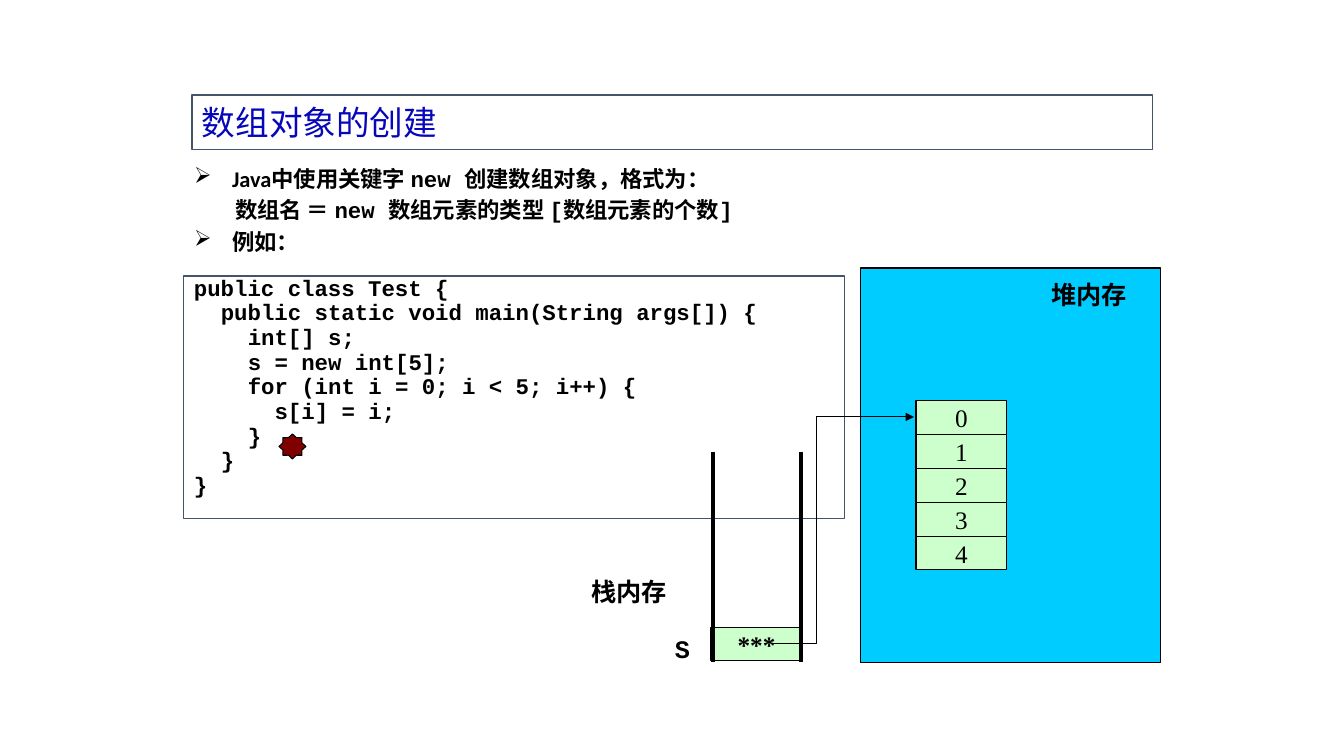
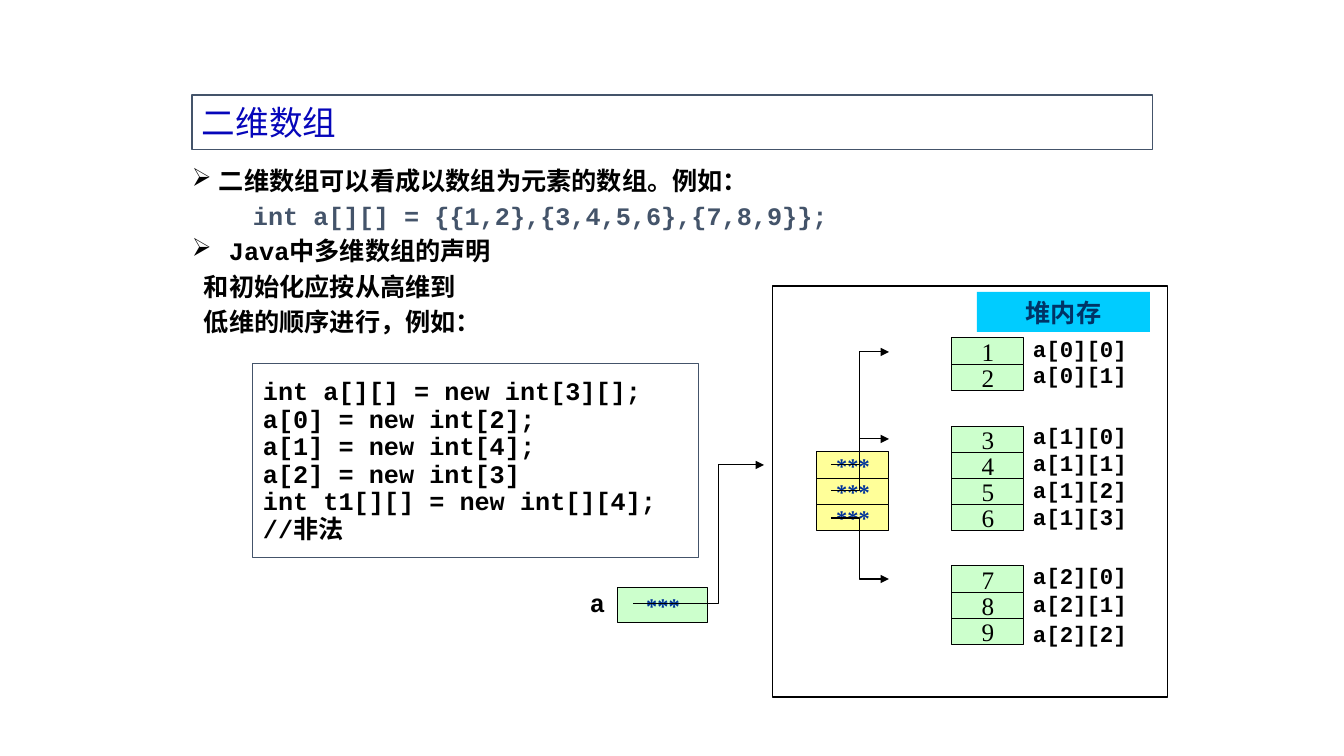
from dataclasses import dataclass
from lxml.etree import SubElement
from pptx import Presentation
from pptx.dml.color import RGBColor as RGB
from pptx.enum.shapes import MSO_CONNECTOR as LINK, MSO_SHAPE as SHAPE
from pptx.enum.text import MSO_ANCHOR as ANCHOR, MSO_AUTO_SIZE as FIT, PP_ALIGN as ALIGN
from pptx.oxml.ns import qn
from pptx.util import Emu, Pt

SCALE = 914400 / 100.8


@dataclass(frozen=True)
class Theme:
    """Colours, fonts and type sizes shared by the slides."""
    black: str = "000000"
    white: str = "FFFFFF"
    slate: str = "44546A"
    title: str = "0606BA"
    heap: str = "00CCFF"
    green: str = "CCFFCC"
    yellow: str = "FFFF99"
    maroon: str = "800000"
    navy: str = "003366"
    blue: str = "003399"
    serif: str = "Times New Roman"
    mono: str = "Courier New"
    sans: str = "Calibri"
    asian: str = "Noto Sans CJK SC"
    head: int = 24
    body: int = 18
    small: int = 16
    thin: float = 0.75
    thick: float = 2.25


T = Theme()


@dataclass
class Para:
    """One paragraph: (text, font) runs, indent in pixels, bullet width."""
    runs: list
    left: float = 0
    mark: int = 0


def px(num):
    """Turn pixels into EMU."""
    return Emu(round(num * SCALE))


def assign(item, values):
    """Set attributes of an item from a dict."""
    for name, value in values.items():
        setattr(item, name, value)


class Deck:
    """The deck's style and its current slide."""

    def __init__(self):
        self.prs = Presentation()
        assign(self.prs, dict(slide_width=px(1344), slide_height=px(756)))
        self.slide = None

    def start(self, title):
        """Add a slide with a framed title."""
        self.slide = self.prs.slides.add_slide(self.prs.slide_layouts[5])
        head = self.slide.shapes.title
        places = map(px, (192, 95, 961, 55))
        assign(head, dict(zip(("left", "top", "width", "height"), places)))
        self.stroke(head.line, T.slate)
        self.put(head, title, font=T.asian, size=T.head, color=T.title,
                 bold=False, align=ALIGN.LEFT, anchor=ANCHOR.MIDDLE)

    def stroke(self, line, color, width=T.thin):
        """Colour a line, or hide it."""
        if color is None:
            line.fill.background()
            return
        line.color.rgb = RGB.from_string(color)
        line.width = Pt(width)

    def put(self, shape, text, font=T.serif, size=T.body, color=T.black,
            bold=True, align=ALIGN.CENTER, anchor=ANCHOR.TOP,
            wrap=True, top=5, pitch=None):
        """Fill a shape with a string or a list of paragraphs."""
        frame = shape.text_frame
        assign(frame, dict(
            auto_size=FIT.NONE, word_wrap=wrap, vertical_anchor=anchor,
            margin_left=px(10), margin_right=px(10),
            margin_top=px(top), margin_bottom=px(5)))
        paras = [Para([(text, font)])] if isinstance(text, str) else text
        for num, para in enumerate(paras):
            item = frame.add_paragraph() if num else frame.paragraphs[0]
            assign(item, dict(alignment=align, space_before=Pt(0)))
            if pitch:
                item.line_spacing = Pt(pitch)
            self.indent(item, para)
            for words, face, *tint in para.runs:
                run = item.add_run()
                run.text = words
                assign(run.font, dict(name=face, size=Pt(size), bold=bold))
                run.font.color.rgb = RGB.from_string(tint[0] if tint else color)
                SubElement(run.font._element, qn("a:ea"), typeface=T.asian)

    def indent(self, item, para):
        """Set the indent and bullet of a paragraph."""
        props = item._p.get_or_add_pPr()
        props.set("marL", str(px(para.left)))
        props.set("indent", str(px(-para.mark)))
        if para.mark:
            SubElement(props, qn("a:buChar"), char="➢")
        else:
            SubElement(props, qn("a:buNone"))

    def box(self, at, text=None, fill=None, line=T.black, kind=SHAPE.RECTANGLE, **style):
        """Add a filled shape with optional text."""
        shape = self.slide.shapes.add_shape(kind, *map(px, at))
        shape.shadow.inherit = False
        if fill:
            shape.fill.solid()
            shape.fill.fore_color.rgb = RGB.from_string(fill)
        else:
            shape.fill.background()
        self.stroke(shape.line, line)
        if text:
            self.put(shape, text, **style)
        return shape

    def label(self, at, text, **style):
        """Add a plain text box."""
        self.put(self.slide.shapes.add_textbox(*map(px, at)), text, **style)

    def cell(self, at, text, fill=T.green, **style):
        """Add one memory cell."""
        self.box(at, text, fill=fill, anchor=ANCHOR.MIDDLE, wrap=False, **style)

    def stack(self, at, values, **style):
        """Split an area into equal cells, one a value."""
        left, top, width, height = at
        step = height / len(values)
        for num, value in enumerate(values):
            self.cell((left, top + num * step, width, step), value, **style)

    def code(self, at, rows, size, pitch, top):
        """Add a framed listing from (depth, text) rows."""
        step = size * 1.2 * 1.4
        paras = [Para([(text, T.mono)], left=depth * step) for depth, text in rows]
        self.box(at, paras, fill=T.white, line=T.slate, size=size,
                 align=ALIGN.LEFT, pitch=pitch, top=top)

    def link(self, ends, kind=LINK.STRAIGHT, width=T.thin):
        """Add a black line without shadow."""
        wire = self.slide.shapes.add_connector(kind, *map(px, ends))
        self.stroke(wire.line, T.black, width)
        SubElement(wire._element.spPr, qn("a:effectLst"))
        return wire

    def arrow(self, ends, bend):
        """Add an elbow arrow that turns at x = bend."""
        wire = self.link(ends, LINK.ELBOW)
        props = wire._element.spPr
        ratio = round((bend - ends[0]) / (ends[2] - ends[0]) * 100000)
        SubElement(props.find(qn("a:prstGeom")).find(qn("a:avLst")), qn("a:gd"),
                   name="adj1", fmla=f"val {ratio}")
        SubElement(props.find(qn("a:ln")), qn("a:tailEnd"), type="triangle")


def create(deck):
    """Build the slide on creating an array."""
    deck.start("数组对象的创建")
    deck.label((184, 157, 672, 111), [
        Para([("Java中使用关键字 ", T.sans), ("new ", T.mono),
              ("创建数组对象，格式为：", T.sans)], 38, 38),
        Para([("数组名 ＝ new 数组元素的类型 [数组元素的个数]", T.mono)], 41),
        Para([("例如：", T.sans)], 38, 38),
    ], size=T.small, align=ALIGN.LEFT, pitch=22.5, top=3)
    deck.code((184, 276, 661, 243), [
        (0, "public class Test {"),
        (1, "public static void main(String args[]) {"),
        (2, "int[] s;"),
        (2, "s = new int[5];"),
        (2, "for (int i = 0; i < 5; i++) {"),
        (3, "s[i] = i;"),
        (2, "}"),
        (1, "}"),
        (0, "}"),
    ], size=T.small, pitch=17.6, top=0)
    deck.box((861, 268, 300, 395), fill=T.heap)
    deck.box((1023, 274, 132, 40), "堆内存", fill=T.heap, line=None)
    deck.cell((711, 628, 91, 33), "***")
    for side in (713, 801):
        deck.link((side, 452, side, 662), width=T.thick)
    deck.label((563, 571, 132, 40), "栈内存")
    star = deck.box((279, 434, 27, 25), fill=T.maroon, kind=SHAPE.STAR_8_POINT)
    star.adjustments[0] = 0.38
    deck.label((665, 628, 36, 40), "S", font=T.mono, align=ALIGN.LEFT)
    deck.stack((916, 401, 91, 169), "01234", bold=False)
    deck.arrow((774, 644, 914, 417), 817)


def nest(deck):
    """Build the slide on two-dimensional arrays."""
    deck.start("二维数组")
    deck.label((182, 157, 956, 187), [
        Para([("二维数组可以看成以数组为元素的数组。例如：", T.mono)], 27, 27),
        Para([("int a[][] = {{1,2},{3,4,5,6},{7,8,9}};", T.mono, T.slate)], 61),
        Para([("Java中多维数组的声明", T.mono)], 37, 37),
        Para([("和初始化应按从高维到", T.mono)], 12),
        Para([("低维的顺序进行，例如：", T.mono)], 12),
    ], align=ALIGN.LEFT, pitch=25.2, top=3)
    deck.box((773, 286, 395, 411), fill=T.white)
    deck.box((977, 292, 173, 40), "堆内存", fill=T.heap, line=None, color=T.navy)
    star = dict(size=T.small, color=T.blue)
    deck.stack((817, 452, 72, 79), ["***"] * 3, fill=T.yellow, **star)
    deck.cell((618, 588, 90, 35), "***", **star)
    deck.label((580, 582, 35, 40), "a", font=T.mono, align=ALIGN.LEFT, wrap=False)
    deck.arrow((633, 604, 764, 465), 719)
    for start, end in ((465, 352), (491, 439), (518, 579)):
        deck.arrow((831, start, 889, end), 860)
    rows = (
        (338, 53, "12", (330, 356)),
        (426, 105, "3456", (417, 444, 471, 498)),
        (566, 79, "789", (557, 585, 615)),
    )
    for row, (top, height, values, tops) in enumerate(rows):
        deck.stack((952, top, 72, height), values, bold=False)
        for col, place in enumerate(tops):
            deck.label((1023, place, 116, 37), f"a[{row}][{col}]", font=T.mono,
                       size=T.small, align=ALIGN.LEFT, wrap=False)
    lines = ("int a[][] = new int[3][];", "a[0] = new int[2];",
             "a[1] = new int[4];", "a[2] = new int[3]",
             "int t1[][] = new int[][4];", "//非法")
    deck.code((253, 364, 446, 194), [(0, line) for line in lines],
              size=T.body, pitch=19.7, top=14)


deck = Deck()
create(deck)
nest(deck)
deck.prs.save("out.pptx")
